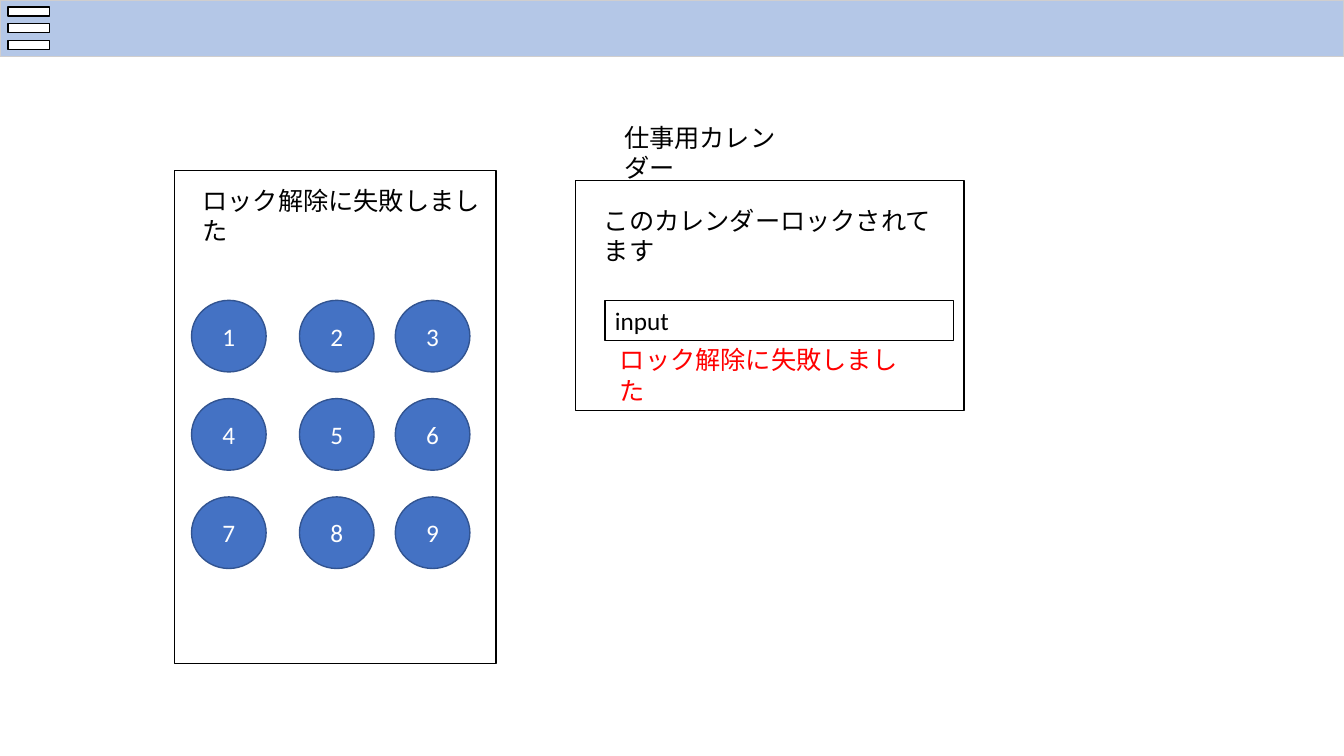
"""Build the calendar unlock-failure screen slide."""
from dataclasses import dataclass
from itertools import product

from pptx import Presentation
from pptx.dml.color import RGBColor as Rgb
from pptx.enum.shapes import MSO_SHAPE as Preset
from pptx.enum.text import MSO_ANCHOR as Anchor, MSO_AUTO_SIZE as AutoSize, PP_ALIGN as Align
from pptx.shapes.autoshape import Shape
from pptx.util import Inches, Pt

SLIDE_WIDTH, SLIDE_HEIGHT = Inches(13.33), Inches(7.5)
LINE_HEIGHT = 5.33


@dataclass(frozen=True)
class Theme:
    font: str = "Calibri"
    size: int = 18
    outline: float = 1
    ink: str = "000000"
    paper: str = "FFFFFF"
    alert: str = "FF0000"
    header: str = "B4C7E7"
    header_edge: str = "D0CECE"
    key: str = "4472C4"
    key_edge: str = "325491"


@dataclass(frozen=True)
class Area:
    """A rectangle in percent of the slide's width and height."""
    left: float
    top: float
    width: float
    height: float

    def emu(self) -> tuple[int, int, int, int]:
        return (round(self.left * SLIDE_WIDTH / 100), round(self.top * SLIDE_HEIGHT / 100),
                round(self.width * SLIDE_WIDTH / 100), round(self.height * SLIDE_HEIGHT / 100))


@dataclass(frozen=True)
class Message:
    area: Area
    text: str
    color: str


THEME = Theme()
MENU_TOPS = (0.93, 3.07, 5.33)
KEY_LEFTS = (14.25, 22.28, 29.41)
KEY_TOPS = tuple(39.73 + 13 * row for row in range(3))
FAILURE = "ロック解除に失敗しました"
MESSAGES = (
    Message(Area(45.39, 44.93, 22.51, LINE_HEIGHT), FAILURE, THEME.alert),
    Message(Area(14.33, 23.87, 22.51, LINE_HEIGHT), FAILURE, THEME.ink),
    Message(Area(44.19, 26.53, 26.78, LINE_HEIGHT), "このカレンダーロックされてます", THEME.ink),
)


def draw_shape(shapes, area: Area, fill: str = THEME.paper, edge: str = THEME.ink,
               preset: Preset = Preset.RECTANGLE) -> Shape:
    shape = shapes.add_shape(preset, *area.emu())
    shape.shadow.inherit = False
    shape.fill.solid()
    shape.fill.fore_color.rgb = Rgb.from_string(fill)
    shape.line.color.rgb = Rgb.from_string(edge)
    shape.line.width = Pt(THEME.outline)
    return shape


def write(shape: Shape, text: str, color: str, align: Align = Align.LEFT,
          anchor: Anchor = Anchor.TOP, fit: AutoSize = AutoSize.SHAPE_TO_FIT_TEXT) -> None:
    frame = shape.text_frame
    frame.word_wrap = True
    frame.auto_size = fit
    frame.vertical_anchor = anchor
    paragraph = frame.paragraphs[0]
    paragraph.alignment = align
    run = paragraph.add_run()
    run.text = text
    run.font.name = THEME.font
    run.font.size = Pt(THEME.size)
    run.font.color.rgb = Rgb.from_string(color)


def draw_header(shapes) -> None:
    header = shapes.add_group_shape().shapes
    draw_shape(header, Area(0, 0, 100, 7.47), THEME.header, THEME.header_edge)
    for top in MENU_TOPS:
        draw_shape(header, Area(0.6, top, 3.08, 1.2))


def draw_calendar(shapes) -> None:
    draw_shape(shapes, Area(42.84, 23.87, 28.88, 30.4))
    passcode = draw_shape(shapes, Area(45.01, 39.73, 25.96, LINE_HEIGHT))
    write(passcode, "input", THEME.ink)


def draw_keypad(shapes) -> None:
    draw_shape(shapes, Area(12.98, 22.53, 23.93, 65.2))
    for digit, (top, left) in enumerate(product(KEY_TOPS, KEY_LEFTS), start=1):
        key = draw_shape(shapes, Area(left, top, 5.55, 9.47), THEME.key, THEME.key_edge, Preset.OVAL)
        write(key, str(digit), THEME.paper, Align.CENTER, Anchor.MIDDLE, AutoSize.NONE)


def main() -> None:
    deck = Presentation()
    deck.slide_width, deck.slide_height = SLIDE_WIDTH, SLIDE_HEIGHT
    shapes = deck.slides.add_slide(deck.slide_layouts[5]).shapes
    calendar_name = shapes.title
    (calendar_name.left, calendar_name.top,
     calendar_name.width, calendar_name.height) = Area(45.69, 15.47, 15.9, LINE_HEIGHT).emu()
    write(calendar_name, "仕事用カレンダー", THEME.ink)
    draw_header(shapes)
    draw_calendar(shapes)
    draw_keypad(shapes)
    for message in MESSAGES:
        write(shapes.add_textbox(*message.area.emu()), message.text, message.color)
    deck.save("out.pptx")


if __name__ == "__main__":
    main()
